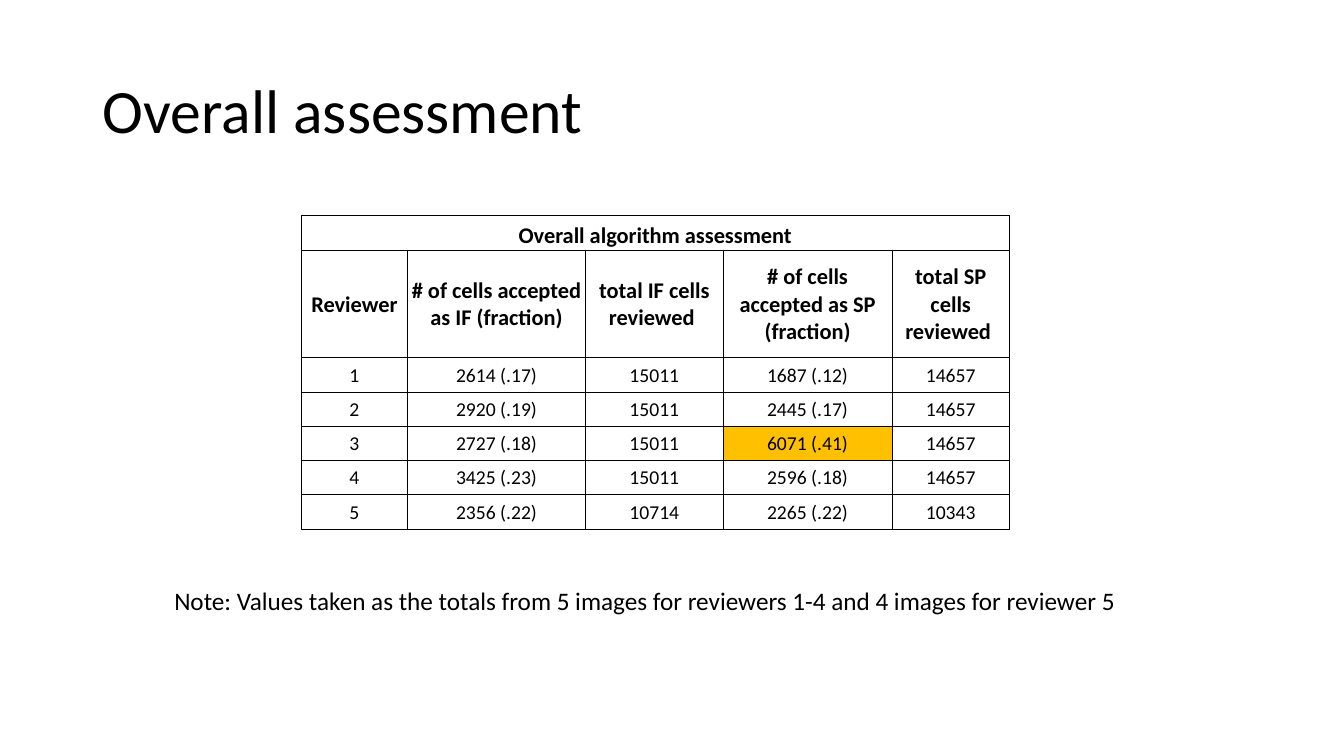
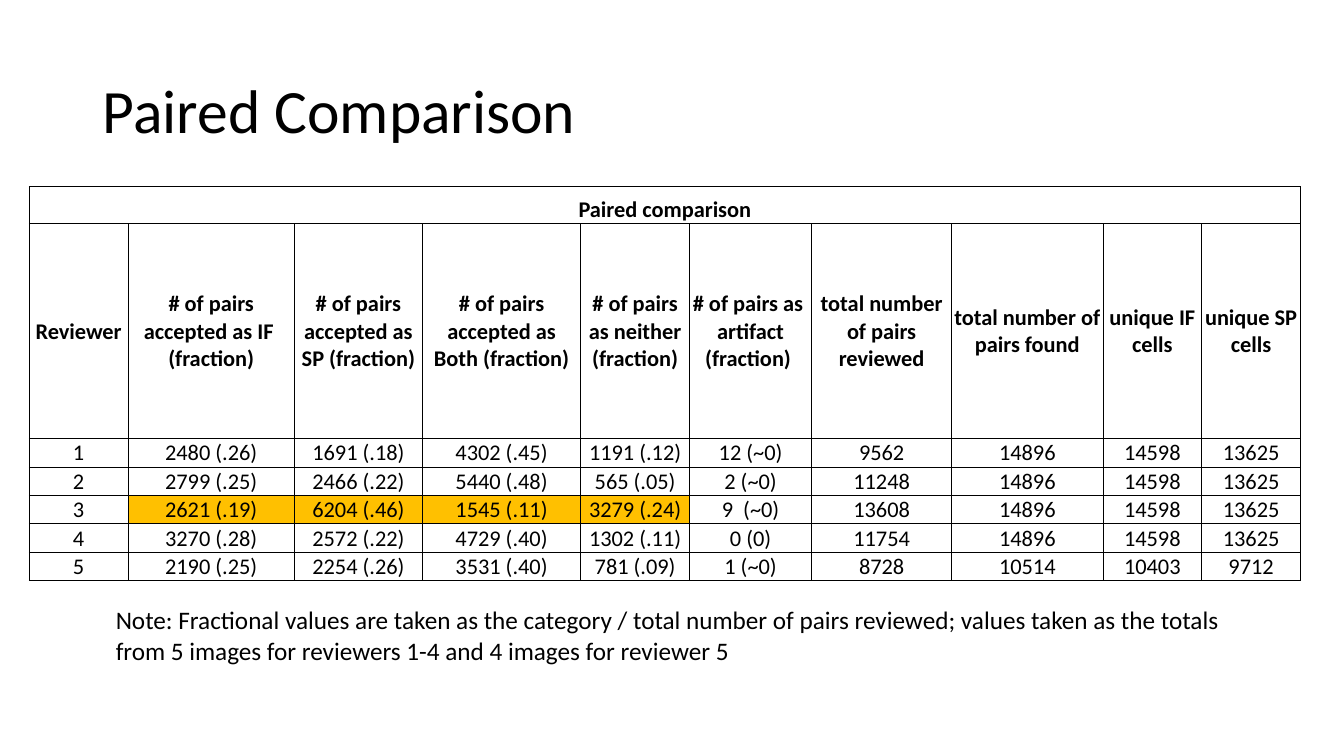
"""Build two slides of reviewer assessment tables."""
from lxml import etree
from pptx import Presentation
from pptx import util as u
from pptx.dml.color import RGBColor
from pptx.enum import text
from pptx.oxml import ns

BLACK = RGBColor(0x00, 0x00, 0x00)
AMBER = RGBColor(0xFF, 0xC0, 0x00)
FONT = "Calibri"
TITLE_ONLY = 5
BORDER_WIDTH = u.Pt(0.5)
MIDDLE = text.MSO_ANCHOR.MIDDLE
BOTTOM = text.MSO_ANCHOR.BOTTOM
CENTER = text.PP_ALIGN.CENTER
LEFT = text.PP_ALIGN.LEFT
CELL_FORMAT = {
    "margin_left": u.Inches(0.01),
    "margin_right": u.Inches(0.01),
    "margin_top": u.Inches(0.01),
    "margin_bottom": 0,
}

OVERALL = {
    "title": "Overall assessment",
    "place": (2.99, 2.14),
    "columns": [1.05, 1.77, 1.36, 1.68, 1.16],
    "heights": (0.34, 1.07, 0.34),
    "body_size": 14,
    "body_anchor": MIDDLE,
    "caption": "Overall algorithm assessment",
    "rows": [
        ["Reviewer", "# of cells accepted as IF (fraction)", "total IF cells reviewed ",
         "# of cells accepted as SP (fraction)", "total SP cells reviewed "],
        ["1", "2614 (.17)", "15011", "1687 (.12)", "14657"],
        ["2", "2920 (.19)", "15011", "2445 (.17)", "14657"],
        ["3", "2727 (.18)", "15011", "6071 (.41)", "14657"],
        ["4", "3425 (.23)", "15011", "2596 (.18)", "14657"],
        ["5", "2356 (.22)", "10714", "2265 (.22)", "10343"],
    ],
    "highlights": {"6071 (.41)"},
    "note": "Note: Values taken as the totals from 5 images for reviewers 1-4 "
            "and 4 images for reviewer 5",
    "note_place": (1.63, 5.76, 11.18, 0.4),
}

PAIRED = {
    "title": "Paired Comparison",
    "place": (0.29, 1.85),
    "columns": [0.98, 1.65, 1.27, 1.57, 1.08, 1.21, 1.39, 1.5, 0.98, 0.98],
    "heights": (0.37, 2.13, 0.28),
    "body_size": 16,
    "body_anchor": BOTTOM,
    "caption": "Paired comparison",
    "rows": [
        ["Reviewer", "# of pairs accepted as IF  (fraction)",
         "# of pairs accepted as SP (fraction)", "# of pairs accepted as Both (fraction)",
         "# of pairs as neither (fraction)", "# of pairs as  artifact (fraction) ",
         "total number of pairs reviewed", "total number of pairs found",
         "unique IF cells", "unique SP cells"],
        ["1", "2480 (.26)", "1691 (.18)", "4302 (.45)", "1191 (.12)", "12 (~0)",
         "9562", "14896", "14598", "13625"],
        ["2", "2799 (.25)", "2466 (.22)", "5440 (.48)", "565 (.05)", "2 (~0)",
         "11248", "14896", "14598", "13625"],
        ["3", "2621 (.19)", "6204 (.46)", "1545 (.11)", "3279 (.24)", "9  (~0)",
         "13608", "14896", "14598", "13625"],
        ["4", "3270 (.28)", "2572 (.22)", "4729 (.40)", "1302 (.11)", "0 (0)",
         "11754", "14896", "14598", "13625"],
        ["5", "2190 (.25)", "2254 (.26)", "3531 (.40)", "781 (.09)", "1 (~0)",
         "8728", "10514", "10403", "9712"],
    ],
    "highlights": {"2621 (.19)", "6204 (.46)", "1545 (.11)", "3279 (.24)"},
    "note": "Note: Fractional values are taken as the category / total number of pairs "
            "reviewed; values taken as the totals from 5 images for reviewers 1-4 "
            "and 4 images for reviewer 5",
    "note_place": (1.05, 5.95, 11.37, 0.71),
}


def apply_format(target, values):
    for name, value in values.items():
        setattr(target, name, value)


def write_text(frame, words, size, bold=False, align=LEFT):
    paragraph = frame.paragraphs[0]
    paragraph.alignment = align
    run = paragraph.add_run()
    run.text = words
    apply_format(run.font, {"name": FONT, "size": u.Pt(size), "bold": bold})
    run.font.color.rgb = BLACK
    return paragraph


def add_title(slide, words):
    title = slide.shapes.title
    apply_format(title, {"left": u.Inches(0.92), "top": u.Inches(0.4),
                         "width": u.Inches(11.5), "height": u.Inches(1.45)})
    apply_format(title.text_frame, {"vertical_anchor": MIDDLE, "word_wrap": True,
                                    "auto_size": text.MSO_AUTO_SIZE.NONE})
    write_text(title.text_frame, words, 44).line_spacing = 0.9


def add_note(slide, words, place):
    box = slide.shapes.add_textbox(*map(u.Inches, place))
    box.text_frame.word_wrap = True
    write_text(box.text_frame, words, 18)


def draw_borders(cell):
    properties = cell._tc.get_or_add_tcPr()
    for side in ("lnL", "lnR", "lnT", "lnB"):
        line = etree.SubElement(properties, ns.qn(f"a:{side}"), w=str(BORDER_WIDTH))
        fill = etree.SubElement(line, ns.qn("a:solidFill"))
        etree.SubElement(fill, ns.qn("a:srgbClr"), val=str(BLACK))


def fill_cell(cell, words, size, bold, anchor, highlighted):
    apply_format(cell, {**CELL_FORMAT, "vertical_anchor": anchor})
    draw_borders(cell)
    if highlighted:
        cell.fill.solid()
        cell.fill.fore_color.rgb = AMBER
    else:
        cell.fill.background()
    if words:
        write_text(cell.text_frame, words, size, bold, CENTER)


def add_assessment_table(slide, content):
    columns = content["columns"]
    caption_row = [content["caption"]] + [""] * (len(columns) - 1)
    rows = [caption_row] + content["rows"]
    caption_height, header_height, body_height = content["heights"]
    heights = [caption_height, header_height] + [body_height] * (len(rows) - 2)
    size = map(u.Inches, (sum(columns), sum(heights)))
    table = slide.shapes.add_table(
        len(rows), len(columns), *map(u.Inches, content["place"]), *size).table
    apply_format(table, {"first_row": False, "horz_banding": False})
    for column, width in zip(table.columns, columns):
        column.width = u.Inches(width)
    for row, height in zip(table.rows, heights):
        row.height = u.Inches(height)
    table.cell(0, 0).merge(table.cell(0, len(columns) - 1))
    styles = [(16, True, BOTTOM), (16, True, MIDDLE)]
    styles += [(content["body_size"], False, content["body_anchor"])] * (len(rows) - 2)
    for row, values, style in zip(table.rows, rows, styles):
        for cell, words in zip(row.cells, values):
            fill_cell(cell, words, *style, words in content["highlights"])


def add_assessment_slide(presentation, content):
    slide = presentation.slides.add_slide(presentation.slide_layouts[TITLE_ONLY])
    add_title(slide, content["title"])
    add_assessment_table(slide, content)
    add_note(slide, content["note"], content["note_place"])


def main():
    presentation = Presentation()
    apply_format(presentation, {"slide_width": u.Inches(13.33),
                                "slide_height": u.Inches(7.5)})
    for content in (OVERALL, PAIRED):
        add_assessment_slide(presentation, content)
    presentation.save("out.pptx")


if __name__ == "__main__":
    main()
